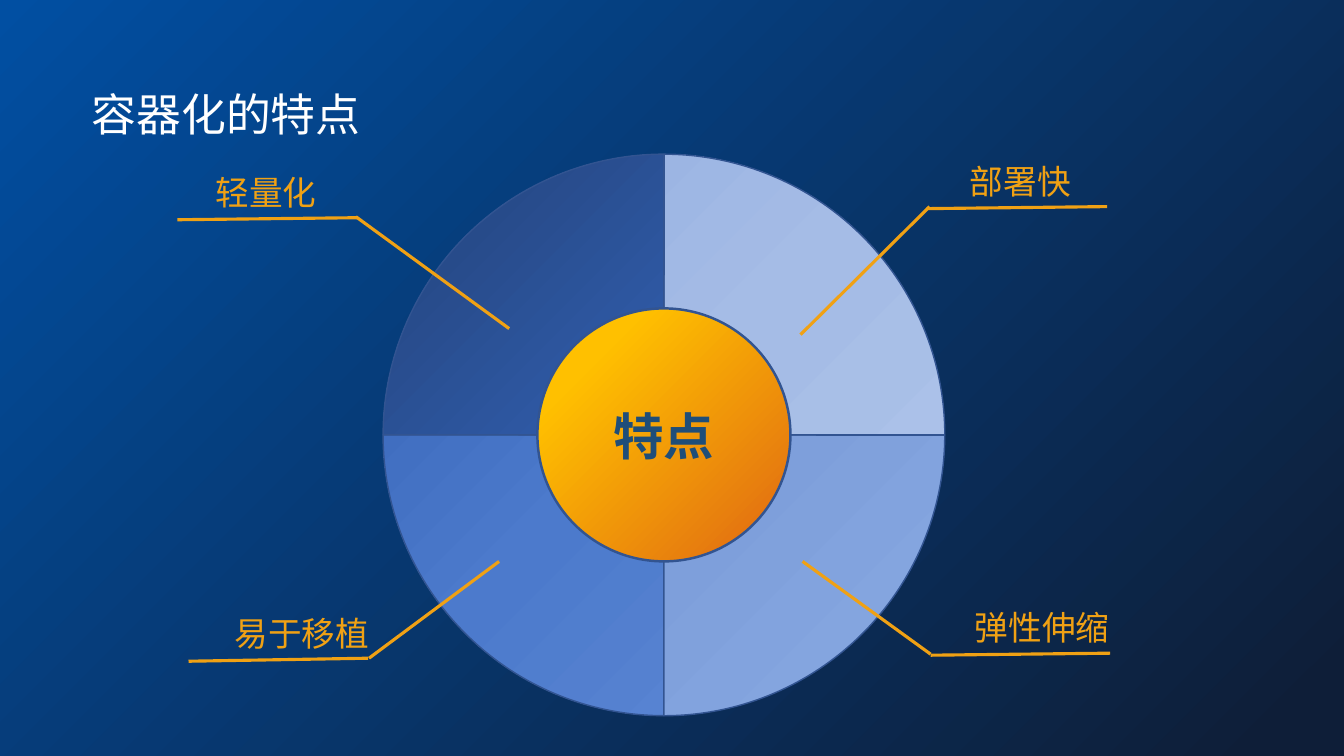
from copy import deepcopy
from dataclasses import dataclass

from lxml.etree import SubElement
from pptx import Presentation
from pptx.dml.color import RGBColor
from pptx.dml.fill import FillFormat
from pptx.enum.shapes import MSO_CONNECTOR, MSO_SHAPE
from pptx.enum.text import MSO_ANCHOR, MSO_AUTO_SIZE, PP_ALIGN
from pptx.oxml.ns import qn
from pptx.shapes.autoshape import Shape
from pptx.slide import Slide
from pptx.text.text import TextFrame
from pptx.util import Inches, Pt

Point = tuple[float, float]
Stop = tuple[float, RGBColor]

WHITE = RGBColor(0xFF, 0xFF, 0xFF)
ORANGE = RGBColor(0xF0, 0xA1, 0x14)
OUTLINE = RGBColor(0x32, 0x54, 0x91)
HUB_TEXT = RGBColor(0x1F, 0x4E, 0x79)
SKY = RGBColor(0x01, 0x4F, 0xA2)
NIGHT = RGBColor(0x0E, 0x1E, 0x38)
GOLD = RGBColor(0xFF, 0xC0, 0x00)
RUST = RGBColor(0xDF, 0x66, 0x13)
MEDIUM_BLUES = (RGBColor(0x32, 0x60, 0xB1), RGBColor(0x4C, 0x7A, 0xCC), RGBColor(0x62, 0x8C, 0xD7))
SOFT_BLUES = (RGBColor(0x5A, 0x84, 0xD0), RGBColor(0x79, 0x9B, 0xD9), RGBColor(0x89, 0xA9, 0xE1))
PALE_BLUES = (RGBColor(0x91, 0xAD, 0xE0), RGBColor(0xA5, 0xBC, 0xE6), RGBColor(0xB0, 0xC6, 0xEB))
DARK_BLUES = (RGBColor(0x23, 0x42, 0x7A), RGBColor(0x31, 0x5E, 0xAD), RGBColor(0x3A, 0x6F, 0xCE))

CJK_FONT = "Noto Sans CJK SC"
HUB_FONT = "Roboto"
CENTER: Point = (6.585, 4.315)
WHEEL_SIZE = 5.57
HUB_SIZE = 2.51


@dataclass(frozen=True)
class Quadrant:
    rotation: int
    blues: tuple[RGBColor, RGBColor, RGBColor]


@dataclass(frozen=True)
class Callout:
    label: str
    corner: Point
    width: float
    leader: tuple[Point, Point]
    underline: tuple[Point, Point]


QUADRANTS = (
    Quadrant(270, MEDIUM_BLUES),
    Quadrant(180, SOFT_BLUES),
    Quadrant(90, PALE_BLUES),
    Quadrant(0, DARK_BLUES),
)

CALLOUTS = (
    Callout("轻量化", (2.04, 1.66), 1.21, ((5.05, 3.26), (3.53, 2.15)), ((1.76, 2.18), (3.54, 2.16))),
    Callout("部署快", (9.52, 1.55), 1.21, ((7.94, 3.32), (9.22, 2.05)), ((9.19, 2.07), (10.98, 2.05))),
    Callout("弹性伸缩", (9.57, 5.97), 1.55, ((7.96, 5.57), (9.23, 6.49)), ((9.23, 6.5), (11.01, 6.48))),
    Callout("易于移植", (2.23, 6.03), 1.55, ((3.66, 6.53), (4.95, 5.57)), ((1.87, 6.56), (3.65, 6.53))),
)


def set_stops(fill: FillFormat, stops: tuple[Stop, ...]) -> None:
    for gradient_stop, (position, color) in zip(fill.gradient_stops, stops):
        gradient_stop.position = position
        gradient_stop.color.rgb = color


def fill_diagonal(fill: FillFormat, stops: tuple[Stop, ...]) -> None:
    fill.gradient()
    fill.gradient_angle = 315
    set_stops(fill, stops)


def fill_radial(shape: Shape, stops: tuple[Stop, ...]) -> None:
    shape.fill.gradient()
    gradient = shape.element.spPr.find(qn("a:gradFill"))
    stop_list = gradient.find(qn("a:gsLst"))
    stop_list.append(deepcopy(stop_list[-1]))
    gradient.remove(gradient.find(qn("a:lin")))
    circle = SubElement(gradient, qn("a:path"), path="circle")
    SubElement(circle, qn("a:fillToRect"), r="100000", b="100000")
    set_stops(shape.fill, stops)


def add_centered(slide: Slide, kind: MSO_SHAPE, size: float, line_width: float) -> Shape:
    left, top = (middle - size / 2 for middle in CENTER)
    shape = slide.shapes.add_shape(kind, Inches(left), Inches(top), Inches(size), Inches(size))
    shape.shadow.inherit = False
    shape.line.color.rgb = OUTLINE
    shape.line.width = Pt(line_width)
    return shape


def write_text(frame: TextFrame, text: str, size: int, color: RGBColor, name: str, bold: bool = False) -> None:
    paragraph = frame.paragraphs[0]
    paragraph.text = text
    font = paragraph.font
    font.size = Pt(size)
    font.bold = bold
    font.color.rgb = color
    font.name = name


def add_label(slide: Slide, text: str, corner: Point, width: float, height: float, size: int, color: RGBColor) -> None:
    left, top = corner
    box = slide.shapes.add_textbox(Inches(left), Inches(top), Inches(width), Inches(height))
    box.text_frame.word_wrap = False
    box.text_frame.auto_size = MSO_AUTO_SIZE.SHAPE_TO_FIT_TEXT
    write_text(box.text_frame, text, size, color, CJK_FONT)
    for properties in box.element.iter(qn("a:defRPr")):
        SubElement(properties, qn("a:ea"), typeface=CJK_FONT)


def add_line(slide: Slide, start: Point, end: Point) -> None:
    ends = (Inches(value) for value in (*start, *end))
    connector = slide.shapes.add_connector(MSO_CONNECTOR.STRAIGHT, *ends)
    connector.line.color.rgb = ORANGE
    connector.line.width = Pt(2.25)
    SubElement(connector.element.spPr, qn("a:effectLst"))


def add_quadrant(slide: Slide, quadrant: Quadrant) -> None:
    pie = add_centered(slide, MSO_SHAPE.PIE, WHEEL_SIZE, 1)
    pie.adjustments[0] = 108.02
    pie.adjustments[1] = 162
    pie.rotation = quadrant.rotation
    fill_radial(pie, tuple(zip((0, 0.48, 1), quadrant.blues)))


def add_hub(slide: Slide) -> None:
    hub = add_centered(slide, MSO_SHAPE.OVAL, HUB_SIZE, 1.75)
    fill_diagonal(hub.fill, ((0.21, GOLD), (1, RUST)))
    hub.text_frame.vertical_anchor = MSO_ANCHOR.MIDDLE
    write_text(hub.text_frame, "特点", 36, HUB_TEXT, HUB_FONT, bold=True)
    hub.text_frame.paragraphs[0].alignment = PP_ALIGN.CENTER


def add_callout(slide: Slide, callout: Callout) -> None:
    add_line(slide, *callout.leader)
    add_line(slide, *callout.underline)
    add_label(slide, callout.label, callout.corner, callout.width, 0.5, 24, ORANGE)


def main() -> None:
    presentation = Presentation()
    presentation.slide_width = Inches(13.33)
    presentation.slide_height = Inches(7.5)
    slide = presentation.slides.add_slide(presentation.slide_layouts[6])
    fill_diagonal(slide.background.fill, ((0, SKY), (0.96, NIGHT)))
    for quadrant in QUADRANTS:
        add_quadrant(slide, quadrant)
    add_hub(slide)
    add_label(slide, "容器化的特点", (0.81, 0.81), 2.89, 0.64, 32, WHITE)
    for callout in CALLOUTS:
        add_callout(slide, callout)
    presentation.save("out.pptx")


if __name__ == "__main__":
    main()
